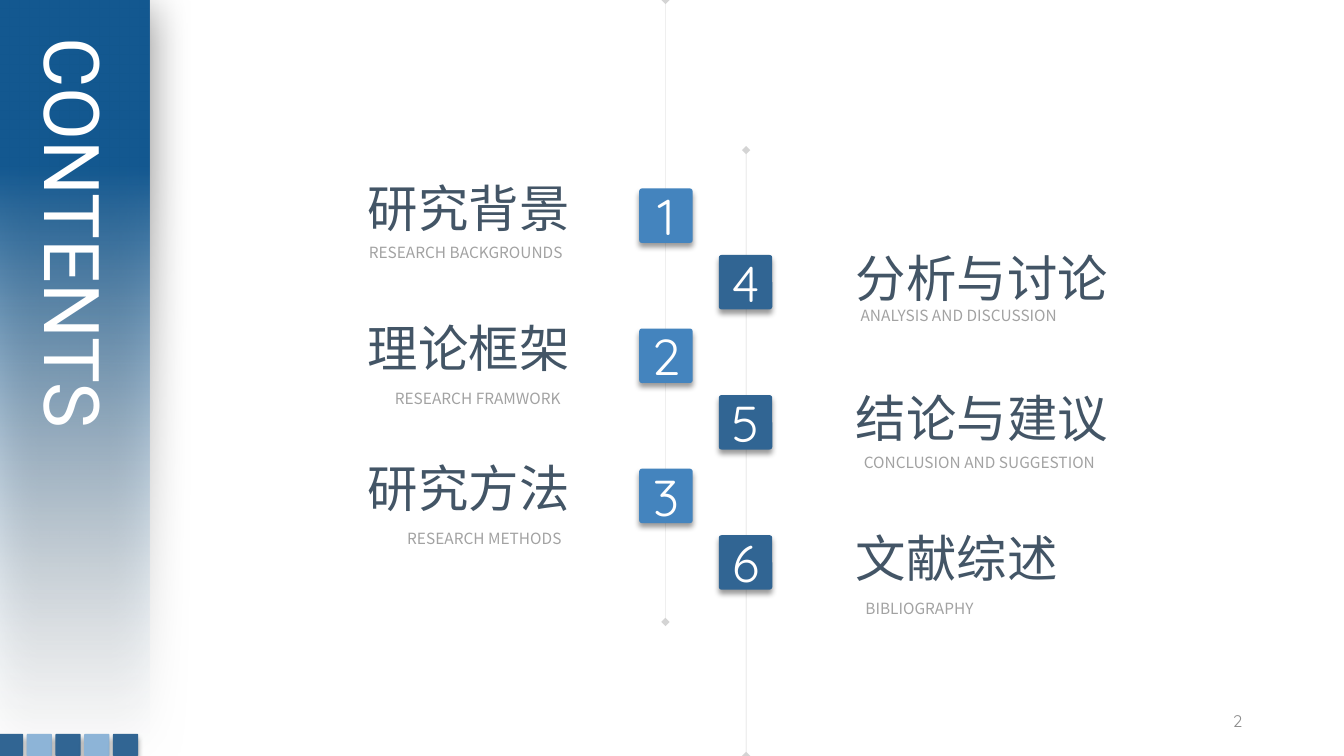
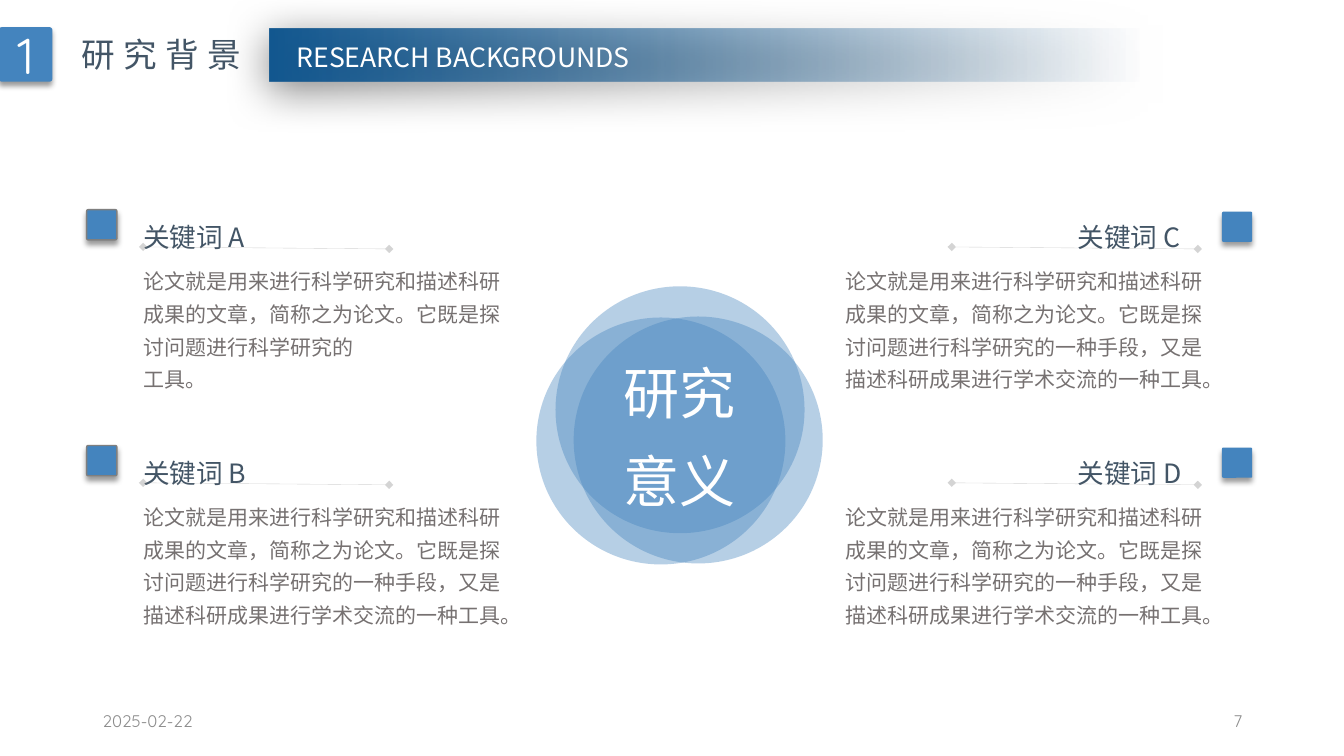
from lxml import etree
from pptx import Presentation
from pptx.dml.color import RGBColor
from pptx.enum import shapes, text
from pptx.oxml import ns
from pptx.util import Inches, Pt

NAVY = RGBColor(0x13, 0x58, 0x90)
BLUE = RGBColor(0x44, 0x84, 0xBE)
DARK_BLUE = RGBColor(0x31, 0x65, 0x93)
PALE_BLUE = RGBColor(0x8D, 0xB4, 0xD7)
ICE = RGBColor(0xF0, 0xF7, 0xFD)
SLATE = RGBColor(0x43, 0x55, 0x66)
BODY_GREY = RGBColor(0x76, 0x71, 0x71)
LINE_GREY = RGBColor(0x7F, 0x7F, 0x7F)
FOOTER_GREY = RGBColor(0x8C, 0x8C, 0x8C)
CAPTION_GREY = RGBColor(0xA2, 0xA2, 0xA2)
WHITE = RGBColor(0xFF, 0xFF, 0xFF)

CJK, NUMERAL, DISPLAY = "Noto Sans CJK SC", "Quicksand", "Roboto"
LEFT, CENTER, RIGHT = text.PP_ALIGN.LEFT, text.PP_ALIGN.CENTER, text.PP_ALIGN.RIGHT
RECT = shapes.MSO_SHAPE.RECTANGLE
ROUNDED = shapes.MSO_SHAPE.ROUNDED_RECTANGLE
OVAL = shapes.MSO_SHAPE.OVAL

# Shadows: opacity %, blur pt, distance pt, direction in degrees
TILE_SHADOW = (40, 4, 3, 90)
BAND_SHADOW = (50, 31, 6, 97)
TILE_W, TILE_H = 0.53, 0.54

# Contents columns: tile left, title left, first tile top, first title top, colour, and
# entries of number, title, caption and the caption's left, top and width
COLUMNS = [
    (6.34, 3.55, 1.87, 1.71, BLUE, [
        ("1", "研究背景", "RESEARCH BACKGROUNDS", (3.51, 2.36, 2.22)),
        ("2", "理论框架", "RESEARCH FRAMWORK", (3.76, 3.81, 1.96)),
        ("3", "研究方法", "RESEARCH METHODS", (3.9, 5.2, 1.81))]),
    (7.13, 8.39, 2.53, 2.4, DARK_BLUE, [
        ("4", "分析与讨论", "ANALYSIS AND DISCUSSION", (8.35, 2.99, 2.32)),
        ("5", "结论与建议", "CONCLUSION AND SUGGESTION", (8.38, 4.45, 2.67)),
        ("6", "文献综述", "BIBLIOGRAPHY", (8.46, 5.89, 1.32))]),
]
ROW_PITCH = 1.39

OPENING = "论文就是用来进行科学研究和描述科研成果的文章，简称之为论文。它既是探讨问题进行科学研究的"
FULL_TEXT = OPENING + "一种手段，又是描述科研成果进行学术交流的一种工具。"
# Keyword sides: tile left, tile drop, outline, label left, line left, body left, entries
KEYWORD_SIDES = [
    (0.86, 0.03, LINE_GREY, 1.32, 1.42, 1.33,
     [("关键词 A", [OPENING, "工具。"]), ("关键词 B", [FULL_TEXT])]),
    (12.12, 0.05, None, 10.59, 9.44, 8.29,
     [("关键词 C", [FULL_TEXT]), ("关键词 D", [FULL_TEXT])]),
]
KEYWORD_TOP, KEYWORD_PITCH = 2.05, 2.34
CIRCLES = [(5.32, 3.15), (5.51, 2.84), (5.69, 3.14)]


def sub(parent, tag, **attributes):
    return etree.SubElement(parent, ns.qn("a:" + tag), **attributes)


def set_alpha(fill_owner, percent):
    for color in fill_owner.iter(ns.qn("a:srgbClr")):
        sub(color, "alpha", val=str(percent * 1000))


def write(frame, lines, size, color, font=CJK, align=LEFT, spacing=None, tracking=None):
    for index, line in enumerate(lines):
        para = frame.paragraphs[0] if index == 0 else frame.add_paragraph()
        para.alignment = align
        if spacing:
            para.line_spacing = spacing
        span = para.add_run()
        span.text = line
        span.font.size = Pt(size)
        span.font.color.rgb = color
        span.font.name = font
        properties = span.font._element
        sub(properties, "ea", typeface=font)
        if tracking:
            properties.set("spc", str(tracking * 100))


def add_text(page, at, lines, size, color, wrap=False, anchor=text.MSO_ANCHOR.TOP, **style):
    box = page.shapes.add_textbox(*map(Inches, at))
    box.text_frame.word_wrap = wrap
    box.text_frame.vertical_anchor = anchor
    write(box.text_frame, lines, size, color, **style)
    return box


def add_block(page, kind, at, color=None, shadow=None, outline=None):
    block = page.shapes.add_shape(kind, *map(Inches, at))
    if kind == ROUNDED:
        block.adjustments[0] = 0.05
    if color is None:
        block.fill.background()
    else:
        block.fill.solid()
        block.fill.fore_color.rgb = color
    if outline is None:
        block.line.fill.background()
    else:
        block.line.color.rgb = outline
        block.line.width = Pt(1)
    block.shadow.inherit = False
    if shadow:
        opacity, blur, distance, direction = shadow
        effects = block._element.spPr.find(ns.qn("a:effectLst"))
        outer = sub(effects, "outerShdw", blurRad=str(Pt(blur)), dist=str(Pt(distance)),
                    dir=str(direction * 60000), algn="ctr", rotWithShape="0")
        sub(outer, "srgbClr", val="000000")
        set_alpha(outer, opacity)
    return block


def add_band(page, at, stops, angle):
    """Shadowed band fading through stops of position %, colour and opacity %."""
    band = add_block(page, RECT, at, shadow=BAND_SHADOW)
    properties = band._element.spPr
    gradient = etree.Element(ns.qn("a:gradFill"), rotWithShape="1")
    stop_list = sub(gradient, "gsLst")
    for position, color, opacity in stops:
        stop = sub(stop_list, "gs", pos=str(position * 1000))
        sub(stop, "srgbClr", val=str(color))
        set_alpha(stop, opacity)
    sub(gradient, "lin", ang=str(angle * 60000), scaled="0")
    properties.replace(properties.find(ns.qn("a:noFill")), gradient)


def add_tile(page, left, top, number, color):
    tile = add_block(page, ROUNDED, (left, top, TILE_W, TILE_H), color, TILE_SHADOW)
    tile.text_frame.vertical_anchor = text.MSO_ANCHOR.MIDDLE
    write(tile.text_frame, [number], 36, WHITE, font=NUMERAL, align=CENTER)


def add_diamond_line(page, *ends):
    line = page.shapes.add_connector(shapes.MSO_CONNECTOR.STRAIGHT, *map(Inches, ends))
    line.line.color.rgb = LINE_GREY
    line.line.width = Pt(0.25)
    stroke = line.line._get_or_add_ln()
    set_alpha(stroke, 33)
    sub(stroke, "headEnd", type="diamond")
    sub(stroke, "tailEnd", type="diamond")
    sub(line._element.spPr, "effectLst")


def add_footer(page, number, date=None):
    for left, label, align in ((0.92, date, LEFT), (9.42, number, RIGHT)):
        if label:
            add_text(page, (left, 6.95, 3, 0.4), [label], 12, FOOTER_GREY, wrap=True,
                     anchor=text.MSO_ANCHOR.MIDDLE, font=NUMERAL, align=align)


def add_section_header(page, number, title, caption):
    add_tile(page, -0.01, 0.27, number, BLUE)
    add_text(page, (0.71, 0.29, 1.88, 0.5), [title], 24, SLATE, tracking=6)
    add_band(page, (2.67, 0.28, 10.67, 0.53), [(19, NAVY, 0), (100, NAVY, 100)], 180)
    add_text(page, (2.75, 0.36, 3.69, 0.42), [caption], 19, WHITE, align=CENTER)


def build_contents(page):
    add_footer(page, "2")
    add_diamond_line(page, 7.4, 1.49, 7.4, 7.5)
    add_diamond_line(page, 6.6, 0, 6.6, 6.17)
    add_band(page, (0, 0, 1.48, 7.46), [(0, ICE, 0), (78, NAVY, 100)], 270)
    heading = add_text(page, (0.12, 0.27, 1.13, 4.94), ["CONTENTS"], 55, WHITE,
                       wrap=True, font=DISPLAY)
    heading.text_frame._txBody.bodyPr.set("vert", "eaVert")

    for tile_left, title_left, tile_top, title_top, color, entries in COLUMNS:
        for row, (number, title, caption, (left, top, width)) in enumerate(entries):
            drop = row * ROW_PITCH
            add_tile(page, tile_left, tile_top + drop, number, color)
            title_width = 0.2 + 0.51 * len(title)
            add_text(page, (title_left, title_top + drop, title_width, 0.71),
                     [title], 36, SLATE)
            add_text(page, (left, top, width, 0.29), [caption], 11, CAPTION_GREY,
                     align=CENTER)

    for index in range(5):
        color = PALE_BLUE if index % 2 else DARK_BLUE
        add_block(page, ROUNDED, (-0.02 + 0.285 * index, 7.28, 0.25, 0.22), color,
                  TILE_SHADOW)


def build_background(page):
    add_footer(page, "7", "2025-02-22")
    for left, top in CIRCLES:
        circle = add_block(page, OVAL, (left, top, 2.47, 2.45), BLUE)
        set_alpha(circle._element.spPr, 39)
    add_text(page, (5.9, 3.31, 1.67, 1.85), ["研究", "意义"], 40, WHITE, wrap=True,
             align=CENTER, spacing=1.3)

    for tile_left, tile_drop, outline, label_left, line_left, body_left, entries in KEYWORD_SIDES:
        for row, (label, body) in enumerate(entries):
            top = KEYWORD_TOP + row * KEYWORD_PITCH
            add_block(page, ROUNDED, (tile_left, top + tile_drop, 0.3, 0.3), BLUE,
                      TILE_SHADOW, outline)
            add_text(page, (label_left, top, 1.35, 0.48), [label], 19, SLATE, spacing=1.3)
            add_diamond_line(page, line_left, top + 0.4, line_left + 2.44, top + 0.42)
            add_text(page, (body_left, top + 0.49, 3.86, 1.41), body, 15, BODY_GREY,
                     wrap=True, spacing=1.3)
    add_section_header(page, "1", "研究背景", "RESEARCH BACKGROUNDS")


def main():
    deck = Presentation()
    deck.slide_width, deck.slide_height = Inches(13.33), Inches(7.5)
    for build in (build_contents, build_background):
        build(deck.slides.add_slide(deck.slide_layouts[6]))
    deck.save("out.pptx")


if __name__ == "__main__":
    main()
